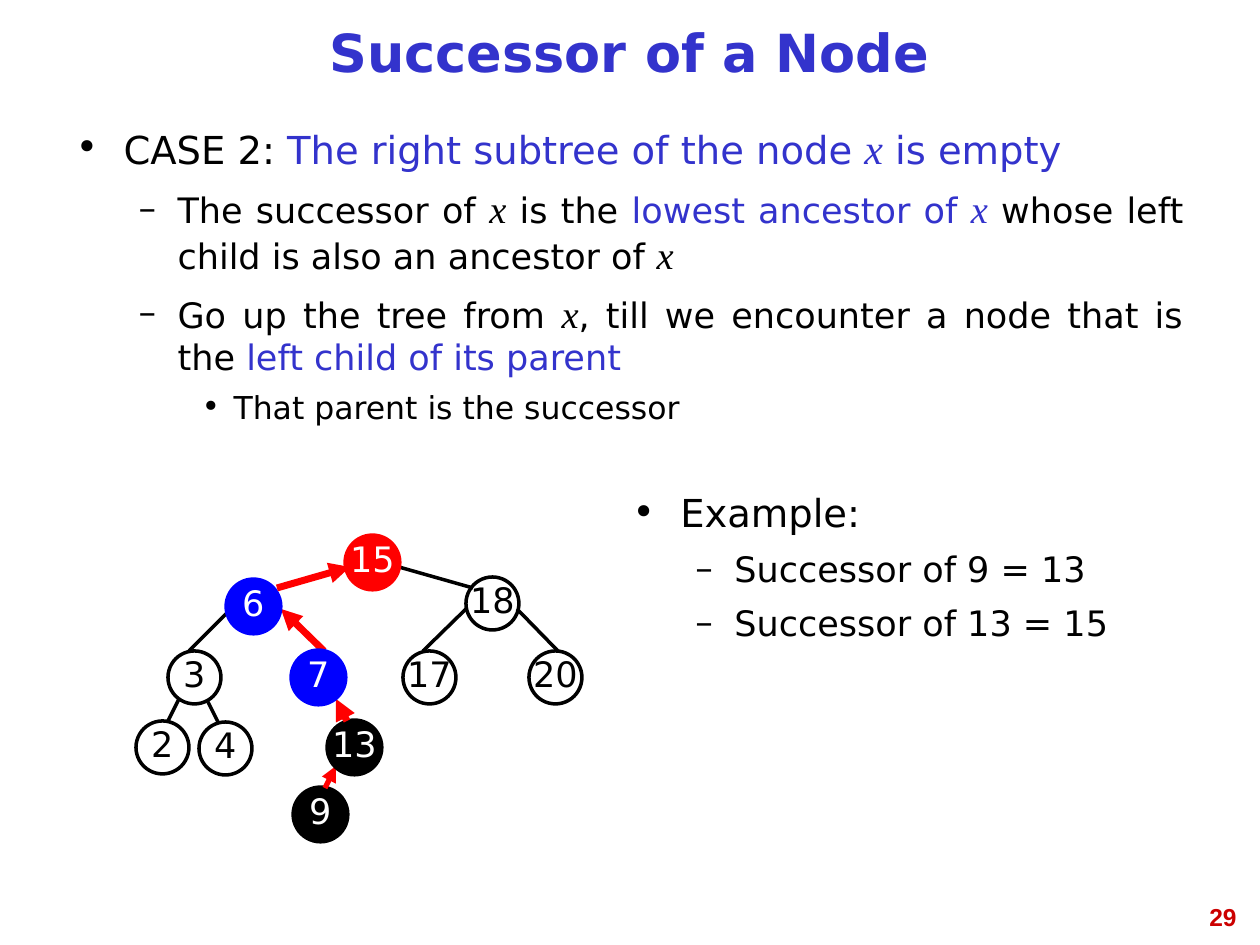
from lxml import etree
from pptx import Presentation
from pptx.dml.color import RGBColor
from pptx.enum.shapes import MSO_CONNECTOR, MSO_SHAPE
from pptx.enum.text import MSO_ANCHOR, MSO_AUTO_SIZE, PP_ALIGN
from pptx.oxml.ns import qn
from pptx.util import Pt

PX = 914400 / 126
OVAL = MSO_SHAPE.OVAL
STRAIGHT = MSO_CONNECTOR.STRAIGHT
TOP, MIDDLE = MSO_ANCHOR.TOP, MSO_ANCHOR.MIDDLE
NO_FIT = MSO_AUTO_SIZE.NONE
CENTER, RIGHT, JUSTIFY = PP_ALIGN.CENTER, PP_ALIGN.RIGHT, PP_ALIGN.JUSTIFY

BLACK, WHITE, RED, BLUE = "000000", "FFFFFF", "FF0000", "0000FF"
INDIGO, CRIMSON = "3333CC", "CC0000"

# Per level: bullet, text indent px, hanging px, space before pt, text size pt
LEVELS = [("•", 48, 48, 8, 22), ("–", 102, 39, 7, 20), ("•", 158, 32, 6, 18)]
NODE_SIZE = 53


def px(*lengths):
    return [round(length * PX) for length in lengths]


def rgb(value):
    return RGBColor.from_string(value)


class SlideStyle:
    font = "DejaVu Sans"
    variable_font = "Times New Roman"
    line_spacing = 0.81

    def __init__(self, slide):
        self.slide = slide

    def format_run(self, run, size, color, font=None, bold=False, italic=False):
        run.font.size = Pt(size)
        run.font.name = font or self.font
        run.font.bold = bold
        run.font.italic = italic
        run.font.color.rgb = rgb(color)

    def frame(self, holder, anchor, wrap=True):
        text_frame = holder.text_frame
        text_frame.word_wrap = wrap
        text_frame.auto_size = NO_FIT
        text_frame.vertical_anchor = anchor
        return text_frame

    def place(self, holder, box):
        holder.left, holder.top, holder.width, holder.height = px(*box)

    def label(self, holder, text, size, color, align=CENTER, anchor=MIDDLE,
              wrap=True, font=None, bold=False):
        text_frame = self.frame(holder, anchor, wrap)
        text_frame.text = text
        paragraph = text_frame.paragraphs[0]
        paragraph.alignment = align
        paragraph.line_spacing = self.line_spacing
        self.format_run(paragraph.runs[0], size, color, font, bold)

    def title(self, text, box):
        self.place(self.slide.shapes.title, box)
        self.label(self.slide.shapes.title, text, 30, INDIGO, bold=True)

    def page_number(self, text, box):
        holder = self.slide.shapes.add_textbox(*px(*box))
        self.label(holder, text, 14, CRIMSON, RIGHT, TOP, font="Arial", bold=True)

    def body(self, items, box):
        holder = self.slide.placeholders[1]
        self.place(holder, box)
        self.bullets(holder, items)

    def text_list(self, items, box):
        self.bullets(self.slide.shapes.add_textbox(*px(*box)), items)

    def bullets(self, holder, items):
        """Each item is a level and (text, color) parts; the part "x" is the variable."""
        text_frame = self.frame(holder, TOP)
        for index, (level, parts) in enumerate(items):
            paragraph = text_frame.add_paragraph() if index else text_frame.paragraphs[0]
            mark, indent, hanging, space, size = LEVELS[level]
            paragraph.level = level
            paragraph.alignment = JUSTIFY
            paragraph.space_before = Pt(space)
            self.bullet_mark(paragraph, mark, *px(indent, hanging))
            for text, color in parts:
                run = paragraph.add_run()
                run.text = text
                if text == "x":
                    self.format_run(run, size + 2, color, self.variable_font, italic=True)
                else:
                    self.format_run(run, size, color)

    def bullet_mark(self, paragraph, mark, indent, hanging):
        props = paragraph._p.get_or_add_pPr()
        props.set("marL", str(indent))
        props.set("indent", str(-hanging))
        color = etree.SubElement(props, qn("a:buClr"))
        etree.SubElement(color, qn("a:srgbClr"), val=BLACK)
        etree.SubElement(props, qn("a:buFont"), typeface=self.font)
        etree.SubElement(props, qn("a:buChar"), char=mark)

    def node(self, key, left, top, fill=None):
        oval = self.slide.shapes.add_shape(OVAL, *px(left, top, NODE_SIZE, NODE_SIZE))
        oval.shadow.inherit = False
        if fill:
            oval.fill.solid()
            oval.fill.fore_color.rgb = rgb(fill)
        else:
            oval.fill.background()
        oval.line.color.rgb = rgb(fill or BLACK)
        oval.line.width = Pt(3 if fill else 2)
        self.label(oval, key, 20, WHITE if fill else BLACK, wrap=False)

    def edge(self, ends, color=BLACK, width=2, arrow=False):
        line = self.slide.shapes.add_connector(STRAIGHT, *px(*ends))
        line.line.color.rgb = rgb(color)
        line.line.width = Pt(width)
        if arrow:
            etree.SubElement(line.line._get_or_add_ln(), qn("a:tailEnd"), type="triangle")
        etree.SubElement(line._element.spPr, qn("a:effectLst"))

    def step(self, ends, width=4):
        self.edge(ends, RED, width, arrow=True)


def main():
    deck = Presentation()
    deck.slide_width, deck.slide_height = px(1260, 945)
    page = SlideStyle(deck.slides.add_slide(deck.slide_layouts[1]))

    # Heading and explanation
    page.page_number("29", (955, 901, 294, 66))
    page.title("Successor of a Node", (63, 10, 1133, 95))
    page.body([
        (0, [("CASE 2:", BLACK), (" The right subtree of the node ", INDIGO),
             ("x", INDIGO), (" is empty", INDIGO)]),
        (1, [("The successor of ", BLACK), ("x", BLACK), (" is the ", BLACK),
             ("lowest ancestor of ", INDIGO), ("x", INDIGO),
             (" whose left child is also an ancestor of ", BLACK), ("x", BLACK)]),
        (1, [("Go up the tree from ", BLACK), ("x", BLACK),
             (", till we encounter a node that is the ", BLACK),
             ("left child of its parent", INDIGO)]),
        (2, [("That parent is the successor", BLACK)]),
    ], (63, 116, 1133, 325))

    # Example
    page.text_list([
        (0, [("Example:", BLACK)]),
        (1, [("Successor of 9 = 13", BLACK)]),
        (1, [("Successor of 13 = 15", BLACK)]),
    ], (620, 483, 587, 189))

    # Plain part of the tree
    for key, left, top in [("18", 466, 577), ("3", 168, 651), ("17", 403, 651),
                           ("20", 529, 651), ("2", 136, 721), ("4", 199, 722)]:
        page.node(key, left, top)
    for ends in [(399, 567, 473, 588), (189, 651, 231, 609), (423, 651, 466, 609),
                 (517, 609, 558, 651), (179, 699, 168, 721), (218, 722, 208, 702)]:
        page.edge(ends)

    # Path up from 9 to 15
    page.node("9", 294, 788, BLACK)
    page.step((325, 788, 336, 766), width=3)
    page.node("13", 328, 721, BLACK)
    page.step((324, 651, 281, 609))
    page.step((347, 721, 336, 699))
    page.node("7", 292, 651, BLUE)
    page.node("6", 227, 580, BLUE)
    page.step((277, 588, 350, 567))
    page.node("15", 346, 536, RED)

    deck.save("out.pptx")


if __name__ == "__main__":
    main()
